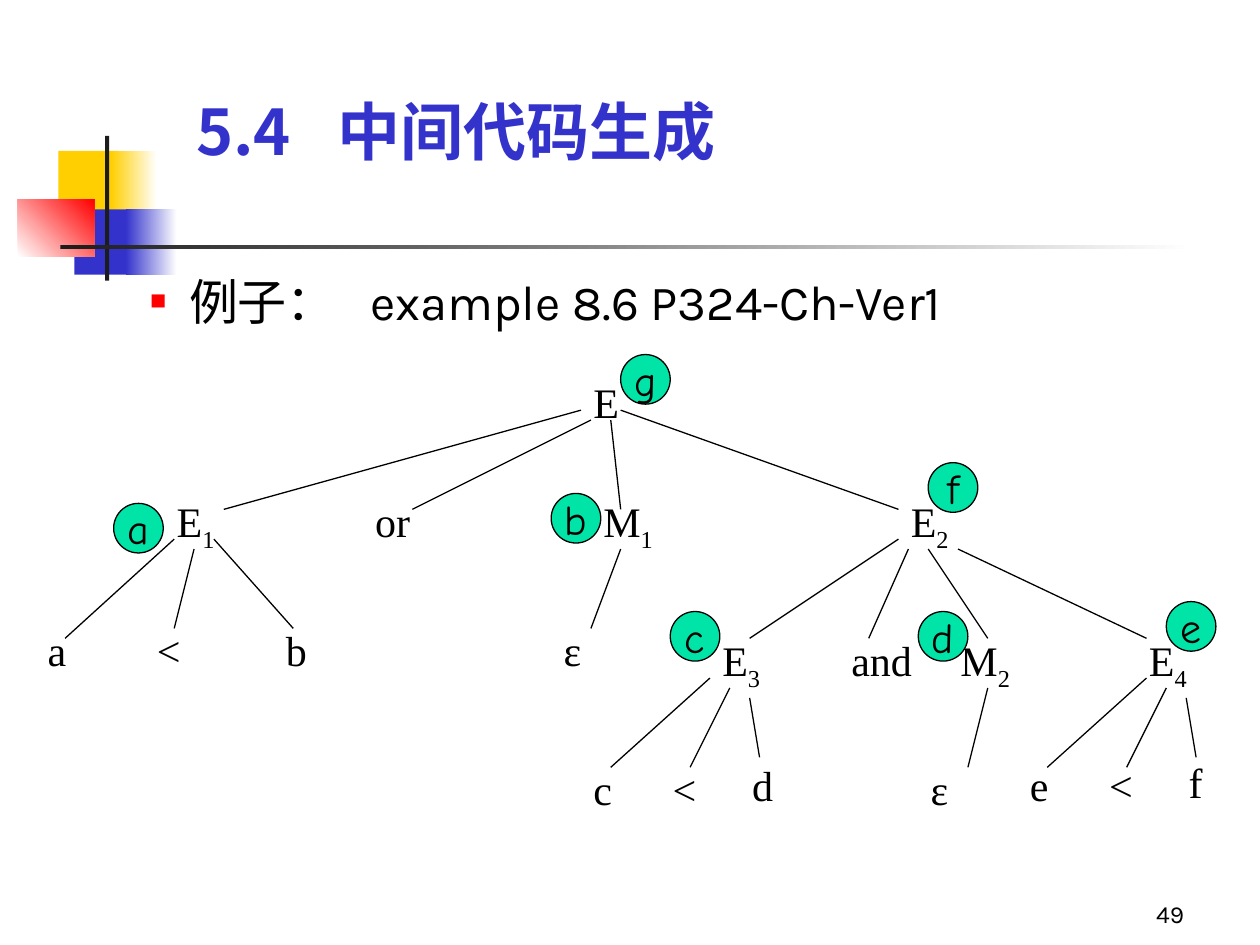
from lxml.etree import SubElement as Sub
from pptx import Presentation as Deck
from pptx.dml.color import RGBColor as RGB
from pptx.enum.shapes import MSO_CONNECTOR as Link, MSO_SHAPE as Kind
from pptx.enum.text import MSO_ANCHOR as Anchor, MSO_AUTO_SIZE as Fit, PP_ALIGN as Align
from pptx.oxml.ns import qn
from pptx.util import Inches, Mm, Pt

CELL = Mm(2)
BLACK = RGB(0, 0, 0)
WHITE = RGB(255, 255, 255)
GOLD = RGB(0xFF, 0xCF, 0x01)
BLUE = RGB(0x33, 0x33, 0xCC)
RED = RGB(0xFF, 0, 0)
DARK = RGB(0x1C, 0x1C, 0x1C)
GREEN = RGB(0, 0xE4, 0xA8)
HAN = "Noto Sans CJK SC"
HEAD = dict(name=HAN, size=Pt(36), bold=True)
LIST = dict(name="Karla", size=Pt(28))
PAGE = dict(name="Karla", size=Pt(14))
NODE = dict(name="Times New Roman", size=Pt(24))
MARK = dict(name="Comic Neue", size=Pt(24))

PARTS = [
    (4.1, 1.5, 6.1, 6.6, [GOLD], 0),
    (9.4, 1.5, 4.6, 6.6, [GOLD, WHITE], 0),
    (5.7, 7.4, 5.8, 6.6, [BLUE], 0),
    (10.9, 7.4, 5.1, 6.6, [BLUE, WHITE], 0),
    (0, 6.4, 7.7, 5.8, [WHITE, RED], 45),
    (8.8, 0, 0.4, 14.6, [DARK], 0),
    (4.3, 11, 114.3, 0.4, [DARK, WHITE], 0),
]
NODES = [
    ("E", "", 55, 0, 5),
    ("E", "1", 13, 12, 8), ("or", "", 33, 12, 7),
    ("M", "1", 56, 12, 9), ("E", "2", 87, 12, 9),
    ("a", "", 0, 25, 5), ("<", "", 11, 25, 5),
    ("b", "", 24, 25, 5), ("ε", "", 52, 25, 9),
    ("E", "3", 68, 26, 8), ("and", "", 81, 26, 9),
    ("M", "2", 92, 26, 8), ("E", "4", 111, 26, 8),
    ("c", "", 55, 39, 5), ("<", "", 63, 39, 5), ("d", "", 71, 38.6, 5),
    ("ε", "", 89, 39, 9),
    ("e", "", 99, 38.6, 5), ("<", "", 107, 38.6, 5), ("f", "", 115, 38.3, 5),
]
EDGES = [
    (55, 4, 19, 14), (56, 5, 38, 14), (58, 5, 59, 14), (59, 4, 87, 14),
    (14, 17, 3, 27), (16, 18, 14, 26), (18, 17, 26, 26),
    (59, 18, 56, 26),
    (87, 17, 72, 27), (88, 18, 84, 27), (90, 18, 96, 27), (93, 18, 112, 27),
    (68, 31, 58, 40), (70, 32, 66, 40), (72, 33, 73, 39),
    (96, 32, 94, 40),
    (112, 31, 102, 40), (114, 32, 110, 40), (116, 33, 117, 39),
]
MARKS = [
    ("a", 7.9, 13.4), ("b", 52, 12.4), ("c", 64, 24.3), ("d", 89, 24.3),
    ("e", 114, 23.3), ("f", 90, 9.3), ("g", 59, -1.6),
]


def cells(*counts):
    return [round(n * CELL) for n in counts]


def put(shape, box):
    for name, size in zip(("left", "top", "width", "height"), cells(*box)):
        setattr(shape, name, size)


def style(font, look, color=BLACK):
    for name, value in look.items():
        setattr(font, name, value)
    font.color.rgb = color


def write(para, text, look, color=BLACK):
    run = para.add_run()
    run.text = text
    style(run.font, look, color)
    Sub(run.font._element, qn("a:ea"), typeface=look["name"] if look is not LIST else HAN)
    return run


def tab(para, place):
    tabs = Sub(para._p.get_or_add_pPr(), qn("a:tabLst"))
    Sub(tabs, qn("a:tab"), pos=str(Inches(place)), algn="l")


def decor(slide, left, top):
    for x, y, wide, high, colors, angle in PARTS:
        part = slide.shapes.add_shape(Kind.RECTANGLE, *cells(left + x, top + y, wide, high))
        part.shadow.inherit = False
        part.line.fill.background()
        if len(colors) == 1:
            part.fill.solid()
            part.fill.fore_color.rgb = colors[0]
        else:
            part.fill.gradient()
            part.fill.gradient_angle = angle
            for stop, color, place in zip(part.fill.gradient_stops, colors, (0, 1)):
                stop.color.rgb = color
                stop.position = place


def title(slide, box):
    shape = slide.shapes.title
    put(shape, box)
    frame = shape.text_frame
    frame.auto_size = Fit.NONE
    frame.vertical_anchor = Anchor.BOTTOM
    para = frame.paragraphs[0]
    para.alignment = Align.LEFT
    tab(para, 1.12)
    write(para, "5.4\t中间代码生成", HEAD, BLUE)


def body(slide, box):
    shape = slide.placeholders[1]
    put(shape, box)
    frame = shape.text_frame
    frame.auto_size = Fit.NONE
    para = frame.paragraphs[0]
    props = para._p.get_or_add_pPr()
    props.set("marL", str(Inches(0.81)))
    props.set("indent", str(Inches(-0.31)))
    Sub(Sub(props, qn("a:buClr")), qn("a:srgbClr"), val=str(RED))
    Sub(props, qn("a:buSzPct"), val="55000")
    Sub(props, qn("a:buChar"), char="■")
    tab(para, 2.25)
    para.space_before = Pt(0)
    write(para, "例子：\texample 8.6 P324-Ch-Ver1", LIST)


def number(slide, box):
    frame = slide.shapes.add_textbox(*cells(*box)).text_frame
    frame.word_wrap = True
    frame.vertical_anchor = Anchor.BOTTOM
    para = frame.paragraphs[0]
    para.alignment = Align.RIGHT
    write(para, "49", PAGE)


def tree(slide, left, top):
    shapes = slide.shapes
    for x, y, end, foot in EDGES:
        edge = shapes.add_connector(
            Link.STRAIGHT, *cells(left + x, top + y, left + end, top + foot))
        edge.line.color.rgb = BLACK
        edge.line.width = Pt(0.75)
        Sub(edge._element.spPr, qn("a:effectLst"))
    for text, sub, x, y, wide in NODES:
        high = 7.1 if sub else 6.4
        frame = shapes.add_textbox(*cells(left + x, top + y, wide, high)).text_frame
        frame.word_wrap = True
        para = frame.paragraphs[0]
        write(para, text, NODE)
        if sub:
            run = write(para, sub, NODE)
            run.font._element.set("baseline", "-25000")
    for text, x, y in MARKS:
        mark = shapes.add_shape(Kind.OVAL, *cells(left + x, top + y, 5, 5))
        mark.shadow.inherit = False
        mark.fill.solid()
        mark.fill.fore_color.rgb = GREEN
        mark.line.color.rgb = BLACK
        mark.line.width = Pt(0.75)
        frame = mark.text_frame
        frame.word_wrap = False
        frame.vertical_anchor = Anchor.MIDDLE
        para = frame.paragraphs[0]
        para.alignment = Align.CENTER
        write(para, text, MARK)


def main():
    deck = Deck()
    deck.slide_width, deck.slide_height = Inches(10), Inches(7.5)
    slide = deck.slides.add_slide(deck.slide_layouts[1])
    decor(slide, 1.8, 13.7)
    title(slide, (18.5, 8.6, 94.7, 9))
    body(slide, (7.5, 26.7, 113, 9))
    number(slide, (94.2, 87.9, 26.4, 6.35))
    tree(slide, 3.56, 37.34)
    deck.save("out.pptx")


if __name__ == "__main__":
    main()
